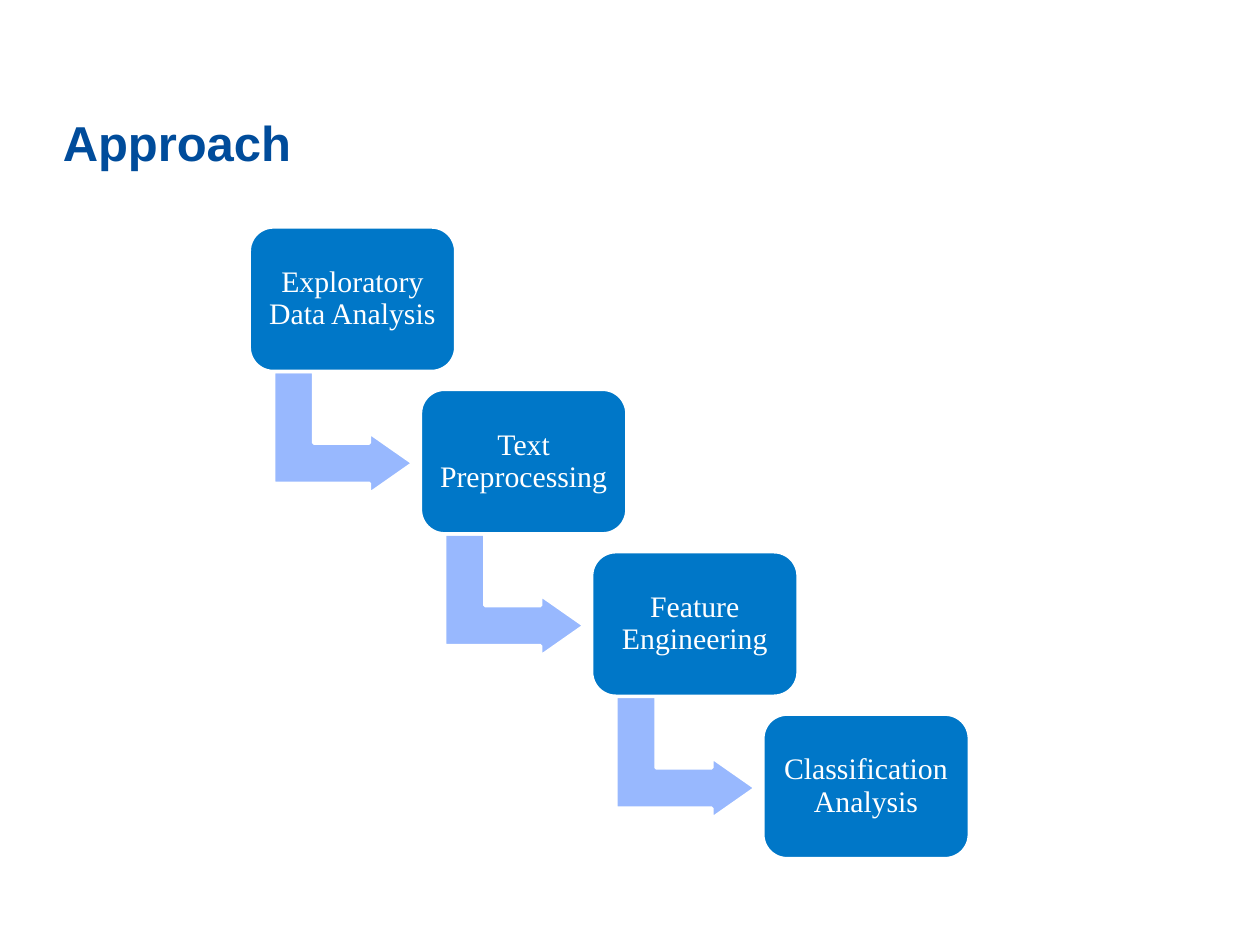
from pptx import Presentation
from pptx.dml.color import RGBColor
from pptx.enum import shapes, text
from pptx.util import Pt

HUES = {"title": "004C9B", "step": "0077C8", "arrow": "98B8FE", "white": "FFFFFF"}
STEPS = ["Exploratory Data Analysis", "Text Preprocessing",
         "Feature Engineering", "Classification Analysis"]


def hue(name):
    return RGBColor.from_string(HUES[name])


def write(para, words, font, size, color, bold=False):
    run = para.add_run()
    run.text = words
    run.font.name, run.font.size, run.font.bold = font, Pt(size), bold
    run.font.color.rgb = hue(color)


def inset(frame, side, top):
    frame.word_wrap = True
    frame.margin_left = frame.margin_right = Pt(side)
    frame.margin_top = frame.margin_bottom = Pt(top)


def add_title(slide, x, y, w, h):
    frame = slide.shapes.add_textbox(Pt(x), Pt(y), Pt(w), Pt(h)).text_frame
    inset(frame, 7.2, 3.6)
    para = frame.paragraphs[0]
    para.alignment = text.PP_ALIGN.JUSTIFY
    para.line_spacing = Pt(26.6)
    write(para, "Approach", "Arial", 28, "title", True)


def add_block(slide, kind, box, color, adjust):
    """Add a filled preset shape with a white outline."""
    block = slide.shapes.add_shape(kind, *map(Pt, box))
    block.shadow.inherit = False
    block.fill.solid()
    block.fill.fore_color.rgb = hue(color)
    block.line.color.rgb = hue("white")
    block.line.width = Pt(2)
    for i, value in enumerate(adjust):
        block.adjustments[i] = value
    return block


def add_arrow(slide, x, y):
    """Add the bent arrow that leaves the step placed at x, y."""
    box = (x + 18.8, y + 77.6, 70, 79.8)
    arrow = add_block(slide, shapes.MSO_SHAPE.BENT_UP_ARROW, box,
                      "arrow", (0.328, 0.25, 0.358))
    arrow.rotation = 90


def add_step(slide, x, y, w, h, words):
    step = add_block(slide, shapes.MSO_SHAPE.ROUNDED_RECTANGLE, (x, y, w, h),
                     "step", (0.167,))
    frame = step.text_frame
    inset(frame, 5, 5)
    frame.vertical_anchor = text.MSO_ANCHOR.MIDDLE
    para = frame.paragraphs[0]
    para.alignment = text.PP_ALIGN.CENTER
    para.line_spacing = 0.9
    write(para, words, "Times New Roman", 17, "white")


def add_stairs(slide, x, y, w, h):
    """Spread the steps evenly from the top left to the bottom right."""
    wide, high = 118, 82.6
    last = len(STEPS) - 1
    for i, words in enumerate(STEPS):
        left = x + i * (w - wide) / last
        top = y + i * (h - high) / last
        if i < last:
            add_arrow(slide, left, top)
        add_step(slide, left, top, wide, high, words)


def main():
    deck = Presentation()
    deck.slide_width, deck.slide_height = Pt(720), Pt(540)
    slide = deck.slides.add_slide(deck.slide_layouts[6])
    add_title(slide, 28.8, 67.7, 665.3, 47.5)
    add_stairs(slide, 142.4, 129.7, 411.5, 361)
    deck.save("out.pptx")


if __name__ == "__main__":
    main()
